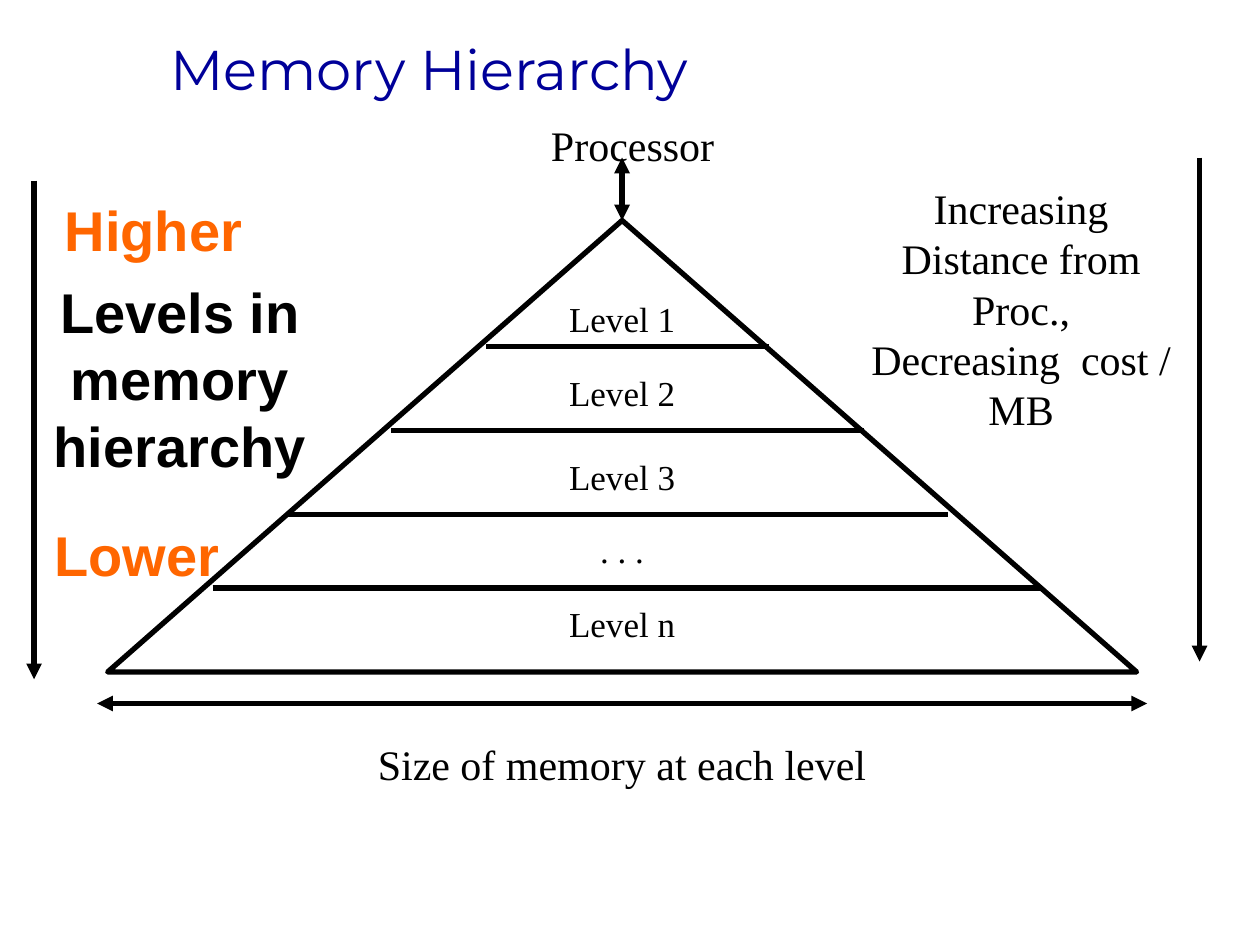
from dataclasses import dataclass

from pptx import Presentation
from pptx import util as u
from pptx.dml.color import RGBColor
from pptx.enum import shapes, text
from pptx.oxml.ns import qn
from lxml import etree

CELLS_PER_INCH = 12  # the grid has 120 columns and 90 rows
AXIS = 59.25         # column of the pyramid's apex


@dataclass(frozen=True)
class Style:
    font: str
    size: int
    color: str
    bold: bool = False


@dataclass(frozen=True)
class Theme:
    title: Style = Style("Montserrat", 32, "000099")
    note: Style = Style("Times New Roman", 24, "000000")
    level: Style = Style("Times New Roman", 20, "000000")
    heading: Style = Style("Arial", 32, "000000", True)
    accent: Style = Style("Arial", 32, "FF6600", True)
    line_color: str = "000000"
    line_width: float = 3


@dataclass(frozen=True)
class Label:
    words: str
    column: float
    row: float
    width: float
    height: float
    style: Style
    centered: bool = True
    wrap: bool = True
    inset: tuple[float, float] = (0.07, 0.03)


@dataclass(frozen=True)
class Arrow:
    start: tuple[float, float]
    end: tuple[float, float]
    both_ways: bool = False


@dataclass(frozen=True)
class Level:
    name: str
    label_row: float
    bar_row: float | None = None
    bar_columns: tuple[float, float] = (0, 0)


THEME = Theme()
WIDE_INSET = (0.1, 0.05)

LABELS = [
    Label("Processor", 8.25, 11, 104, 5.5, THEME.note),
    Label("Size of memory at each level", 17.25, 70, 84, 5.5, THEME.note),
    Label("Increasing Distance from Proc.,\vDecreasing  cost / MB",
          81.25, 17, 32, 24.75, THEME.note),
    Label("Higher", 5, 18, 19.3, 7.7, THEME.accent, False, False, WIDE_INSET),
    Label("Lower", 4, 49, 18.1, 7.7, THEME.accent, False, False, WIDE_INSET),
    Label("Levels in memory hierarchy", 3.1, 25.8, 28.1, 20.4, THEME.heading,
          inset=WIDE_INSET),
]
ARROWS = [
    Arrow((AXIS, 21), (AXIS, 15), both_ways=True),
    Arrow((9.25, 67), (109.25, 67), both_ways=True),
    Arrow((114.25, 15), (114.25, 63)),
    Arrow((3.25, 17.2), (3.25, 64.7)),
]
LEVELS = [
    Level("Level 1", 28, 33, (46.25, 73.25)),
    Level("Level 2", 35, 41, (37.25, 82.25)),
    Level("Level 3", 43, 49, (27.25, 90.25)),
    Level(". . .", 50, 56, (20.25, 99.25)),
    Level("Level n", 57),
]


def cells(*counts: float) -> list[int]:
    """Turn grid counts into slide lengths."""
    return [u.Inches(count / CELLS_PER_INCH) for count in counts]


def apply_style(para, style: Style) -> None:
    para.font.name = style.font
    para.font.size = u.Pt(style.size)
    para.font.bold = style.bold
    para.font.color.rgb = RGBColor.from_string(style.color)


def apply_line(line) -> None:
    line.color.rgb = RGBColor.from_string(THEME.line_color)
    line.width = u.Pt(THEME.line_width)


def add_title(page, words: str) -> None:
    title = page.shapes.title
    title.left, title.top, title.width, title.height = cells(15, 4, 82, 6.25)
    frame = title.text_frame
    frame.text = words
    frame.auto_size = text.MSO_AUTO_SIZE.NONE
    frame.vertical_anchor = text.MSO_ANCHOR.BOTTOM
    para = frame.paragraphs[0]
    para.alignment = text.PP_ALIGN.LEFT
    apply_style(para, THEME.title)


def add_label(page, label: Label) -> None:
    box = page.shapes.add_textbox(
        *cells(label.column, label.row, label.width, label.height))
    frame = box.text_frame
    frame.text = label.words
    frame.word_wrap = label.wrap
    frame.auto_size = text.MSO_AUTO_SIZE.SHAPE_TO_FIT_TEXT
    side, end = label.inset
    frame.margin_left = frame.margin_right = u.Inches(side)
    frame.margin_top = frame.margin_bottom = u.Inches(end)
    para = frame.paragraphs[0]
    para.alignment = (text.PP_ALIGN.CENTER if label.centered
                      else text.PP_ALIGN.LEFT)
    apply_style(para, label.style)


def add_line(page, start: tuple[float, float], end: tuple[float, float],
             heads: tuple[str, ...] = ()) -> None:
    """Draw a line; heads names the ends, headEnd before tailEnd."""
    line = page.shapes.add_connector(
        shapes.MSO_CONNECTOR.STRAIGHT, *cells(*start, *end))
    apply_line(line.line)
    for head in heads:
        etree.SubElement(line.line._get_or_add_ln(), qn(f"a:{head}"),
                         type="triangle")
    etree.SubElement(line._element.spPr, qn("a:effectLst"))


def add_pyramid(page) -> None:
    pyramid = page.shapes.add_shape(
        shapes.MSO_SHAPE.ISOSCELES_TRIANGLE, *cells(AXIS - 49, 21, 98, 43))
    pyramid.shadow.inherit = False
    pyramid.fill.background()
    apply_line(pyramid.line)
    for level in LEVELS:
        add_label(page, Label(level.name, AXIS - 10, level.label_row, 20, 4.7,
                              THEME.level))
        if level.bar_row is not None:
            left, right = level.bar_columns
            add_line(page, (left, level.bar_row), (right, level.bar_row))


def main() -> None:
    deck = Presentation()
    deck.slide_width, deck.slide_height = cells(120, 90)
    page = deck.slides.add_slide(deck.slide_layouts.get_by_name("Title Only"))
    add_title(page, "Memory Hierarchy")
    add_pyramid(page)
    for label in LABELS:
        add_label(page, label)
    for arrow in ARROWS:
        heads = ("headEnd", "tailEnd") if arrow.both_ways else ("tailEnd",)
        add_line(page, arrow.start, arrow.end, heads)
    deck.save("out.pptx")


if __name__ == "__main__":
    main()
